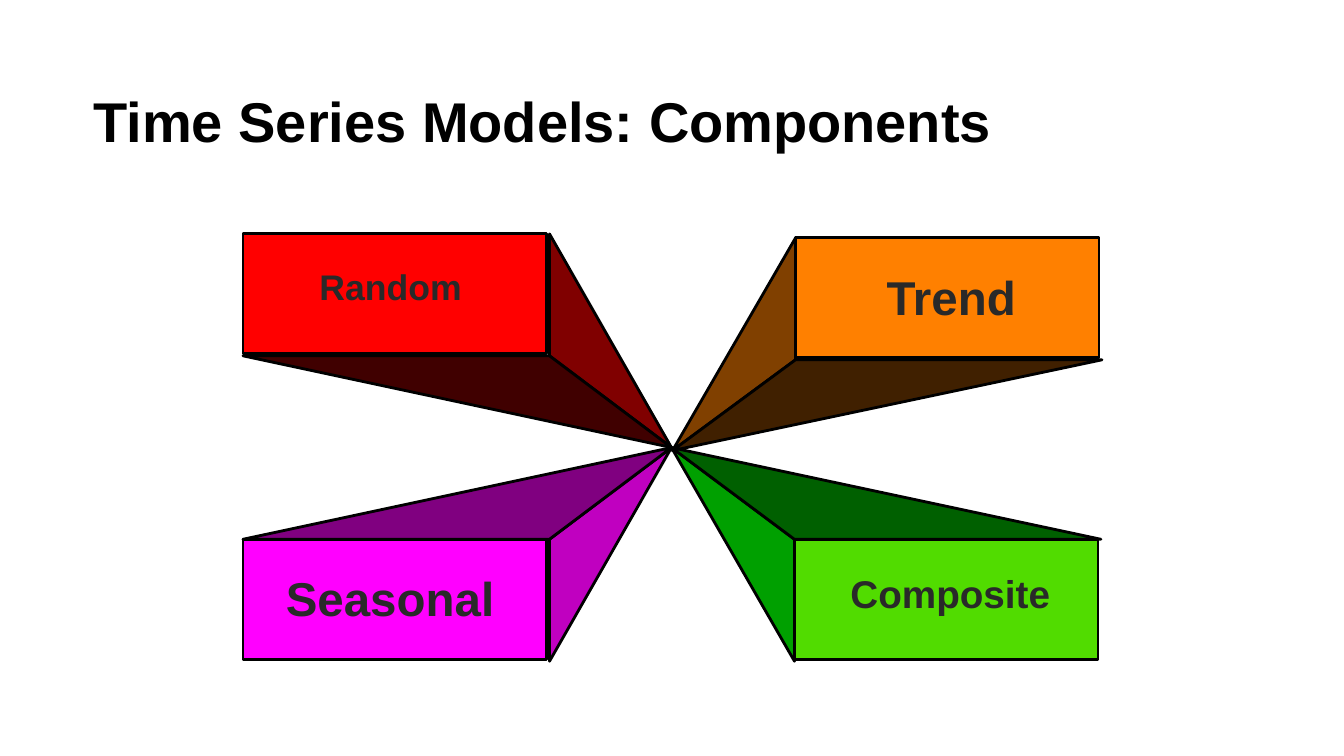
from pptx import Presentation
from pptx.dml.color import RGBColor as RGB
from pptx.enum.shapes import MSO_SHAPE as SHAPE
from pptx.enum.text import MSO_ANCHOR as ANCHOR, PP_ALIGN as ALIGN
from pptx.util import Inches, Pt

COLORS = {
    "title": "000000", "outline": "000000", "label": "292929",
    "Random": ("FF0000", "800000", "400000"),
    "Seasonal": ("FF00FF", "C000C0", "800080"),
    "Trend": ("FF8000", "804000", "402000"),
    "Composite": ("51DC00", "00A000", "006000"),
}
FRONT = (3.01, 1.19)
EDGE = (3.04, 1.21)
BLOCKS = [
    ("Random", (2.41, 2.32), (6.66, 4.44), (0.62, 0.26, 1.69, 0.54), 25.4),
    ("Seasonal", (2.41, 5.35), (6.66, 4.44), (0.26, 0.25, 2.4, 0.68), 33.9),
    ("Trend", (7.89, 2.36), (6.67, 4.47), (0.48, 0.25, 2.13, 0.68), 33.9),
    ("Composite", (7.88, 5.35), (6.66, 4.44), (0.39, 0.25, 2.31, 0.57), 27.6),
]


def add_text(s, box, text, size, color, anchor, align):
    """Add one bold line of text in the given box."""
    tf = s.shapes.add_textbox(*map(Inches, box)).text_frame
    for name, value in {"word_wrap": True, "vertical_anchor": anchor}.items():
        setattr(tf, name, value)
    p = tf.paragraphs[0]
    p.alignment = align
    r = p.add_run()
    r.text = text
    for name, value in {"name": "Arial", "size": Pt(size), "bold": True}.items():
        setattr(r.font, name, value)
    r.font.color.rgb = RGB.from_string(color)


def paint(sp, color):
    """Give a face its fill and the common outline."""
    sp.shadow.inherit = False
    sp.fill.solid()
    sp.fill.fore_color.rgb = RGB.from_string(color)
    sp.line.color.rgb = RGB.from_string(COLORS["outline"])
    sp.line.width = Pt(2)


def add_face(s, points, color):
    """Add a triangular face through the given points."""
    start, *rest = [tuple(map(Inches, point)) for point in points]
    builder = s.shapes.build_freeform(*start)
    builder.add_line_segments(rest, close=True)
    paint(builder.convert_to_shape(), color)


def add_block(s, name, corner, apex, label, size):
    """Add a labelled block whose sides recede to the apex."""
    left, top = corner
    front, side, flat = COLORS[name]
    inner, outer = left, left + EDGE[0]
    if left < apex[0]:
        inner, outer = outer, inner
    near, far = top, top + EDGE[1]
    if top < apex[1]:
        near, far = far, near
    paint(s.shapes.add_shape(SHAPE.RECTANGLE, *map(Inches, corner + FRONT)), front)
    add_face(s, [(inner, far), apex, (inner, near)], side)
    add_face(s, [(outer, near), (inner, near), apex], flat)
    dx, dy, width, height = label
    add_text(s, (left + dx, top + dy, width, height), name, size,
             COLORS["label"], ANCHOR.TOP, ALIGN.CENTER)


def main():
    """Build the slide and save it."""
    prs = Presentation()
    prs.slide_width, prs.slide_height = Inches(13.33), Inches(7.5)
    s = prs.slides.add_slide(prs.slide_layouts[6])
    add_text(s, (0.83, 0.3, 11.46, 1.27), "Time Series Models: Components", 40,
             COLORS["title"], ANCHOR.BOTTOM, ALIGN.LEFT)
    for block in BLOCKS:
        add_block(s, *block)
    prs.save("out.pptx")


if __name__ == "__main__":
    main()
